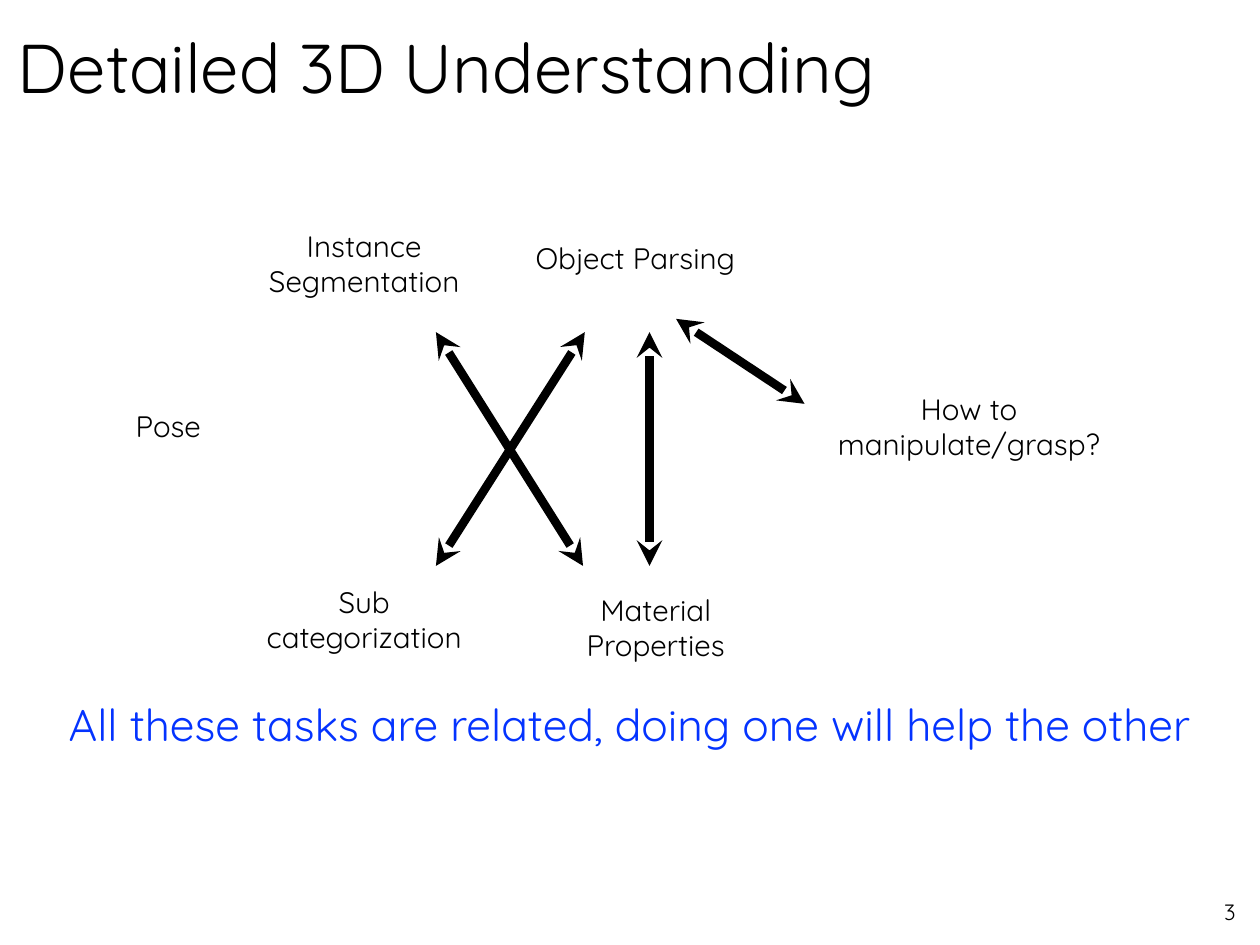
from lxml.etree import SubElement
from pptx import Presentation
from pptx.dml.color import RGBColor
from pptx.enum.shapes import MSO_CONNECTOR
from pptx.enum.text import MSO_ANCHOR, PP_ALIGN
from pptx.oxml.ns import qn
from pptx.util import Pt

PX = 9144  # 100 px to the inch
WIDE, HIGH = 1422, 1067
FONT = "Quicksand"
BLACK, BLUE = "000000", "0433FF"

# label, left, top, width, height within the diagram
TASKS = [
    ("Pose", 0, 204, 256, 51),
    ("How to manipulate/grasp?", 846, 184, 371, 92),
    ("Object Parsing", 527, 14, 256, 51),
    ("Sub categorization", 221, 402, 256, 92),
    ("Material Properties", 550, 411, 256, 92),
    ("Instance Segmentation", 221, 0, 256, 92),
]
# x1, y1, x2, y2 within the diagram
LINKS = [
    (671, 124, 671, 388),
    (598, 124, 430, 388),
    (430, 124, 596, 388),
    (846, 205, 701, 109),
]


def color(code):
    return RGBColor.from_string(code)


def write(slide, text, box, size=24, tint=BLACK, align=PP_ALIGN.CENTER,
          anchor=MSO_ANCHOR.MIDDLE, inset=6, wrap=True):
    frame = slide.shapes.add_textbox(*(n * PX for n in box)).text_frame
    frame.word_wrap = wrap
    frame.vertical_anchor = anchor
    frame.margin_left = frame.margin_right = inset * PX
    frame.margin_top = frame.margin_bottom = inset * PX
    para = frame.paragraphs[0]
    para.alignment = align
    run = para.add_run()
    run.text = text
    run.font.name = FONT
    run.font.size = Pt(size)
    run.font.color.rgb = color(tint)


def arrow(group, ends):
    """Draw a thick line with a stealth head at both ends."""
    link = group.shapes.add_connector(
        MSO_CONNECTOR.STRAIGHT, *(n * PX for n in ends))
    link.line.width = Pt(7)
    link.line.color.rgb = color(BLACK)
    line = link.line._get_or_add_ln()
    for tag in ("a:headEnd", "a:tailEnd"):
        SubElement(line, qn(tag), type="stealth", w="med", len="med")
    SubElement(link._element.spPr, qn("a:effectLst"))


def diagram(slide, left, top):
    for label, x, y, w, h in TASKS:
        write(slide, label, (left + x, top + y, w, h))
    group = slide.shapes.add_group_shape()
    for x1, y1, x2, y2 in LINKS:
        arrow(group, (left + x1, top + y1, left + x2, top + y2))


def main():
    deck = Presentation()
    deck.slide_width, deck.slide_height = WIDE * PX, HIGH * PX
    slide = deck.slides.add_slide(deck.slide_layouts[6])
    write(slide, "Detailed 3D Understanding", (14, 11, 1393, 128),
          size=56, align=PP_ALIGN.LEFT)
    diagram(slide, 62, 251)
    write(slide, "All these tasks are related, doing one will help the other",
          (14, 781, 1393, 72), size=36, tint=BLUE)
    write(slide, "3", (1369, 1014, 38, 40), size=18,
          anchor=MSO_ANCHOR.TOP, inset=0, wrap=False)
    deck.save("out.pptx")


if __name__ == "__main__":
    main()
